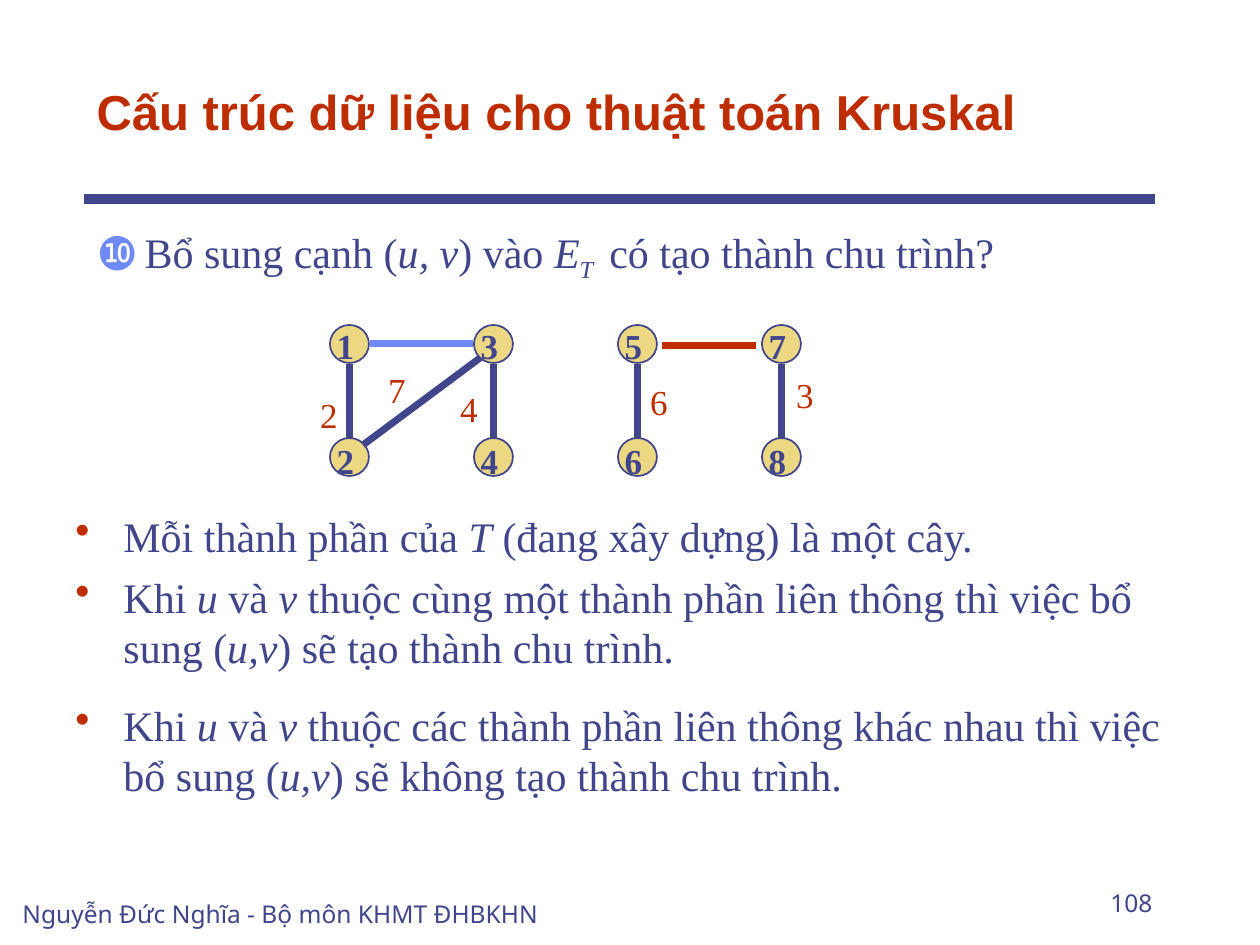
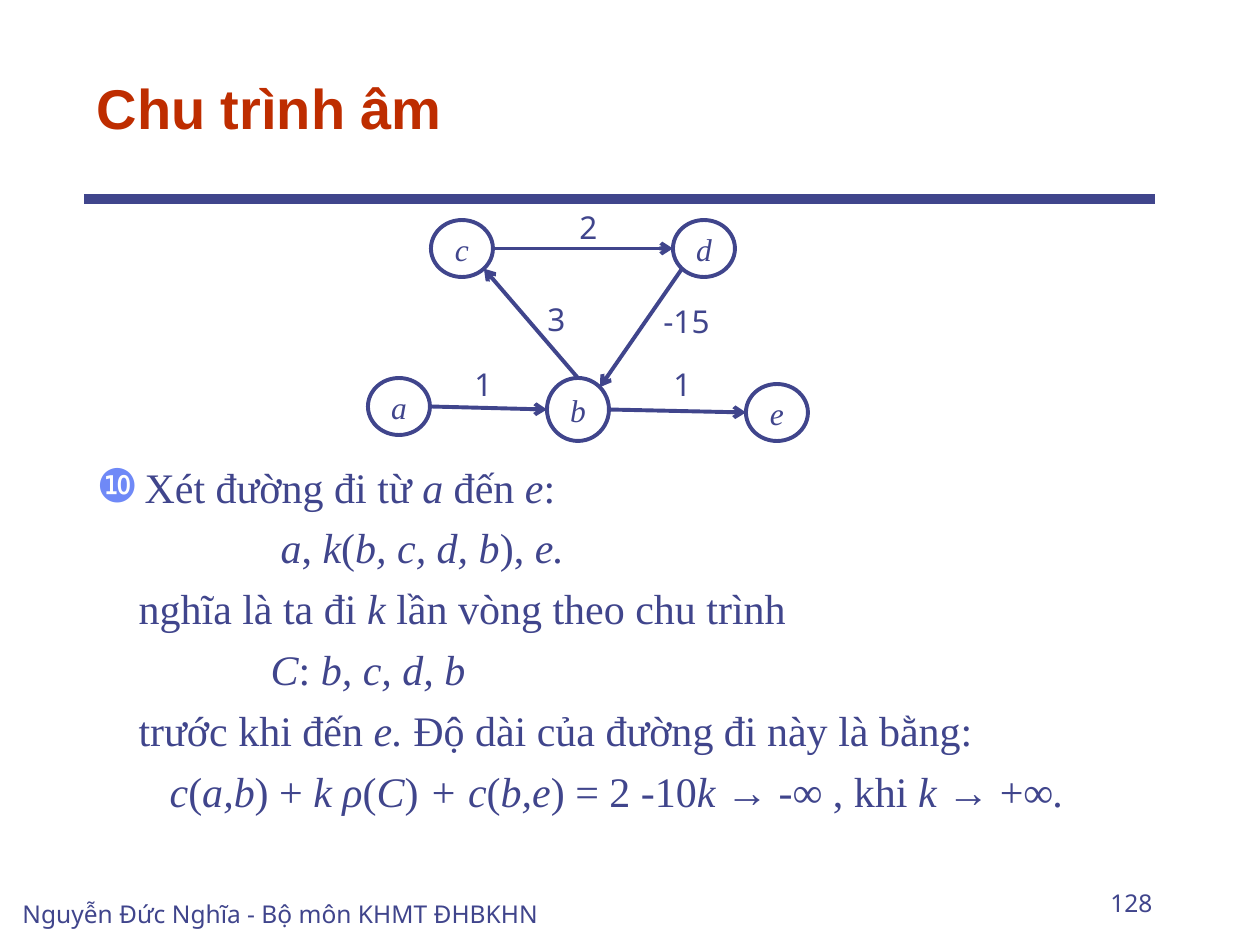
"""Build two lecture slides on Kruskal's algorithm and negative cycles."""
import math

import pptx
import pptx.dml.color
import pptx.enum.shapes
import pptx.enum.text
import pptx.oxml
import pptx.oxml.ns
import pptx.util

RGBColor = pptx.dml.color.RGBColor
ALIGN = pptx.enum.text.PP_ALIGN
ANCHOR = pptx.enum.text.MSO_ANCHOR
Pt = pptx.util.Pt

INDIGO = RGBColor(0x40, 0x45, 0x8C)
RED = RGBColor(0xBE, 0x2D, 0x00)
BLUE = RGBColor(0x6F, 0x89, 0xF7)
SAND = RGBColor(0xEC, 0xD8, 0x82)
SERIF, SANS, HEADING = "Times New Roman", "Noto Sans", "Arial"
NUMBERED = ("❿", BLUE, 110)
DOT = ("•", RED, 100)
HANG = 48

FOOTER = "Nguyễn Đức Nghĩa - Bộ môn KHMT ĐHBKHN"
BODY_BOX = (84, 220, 1103, 609)

KRUSKAL_BODY = [(HANG, NUMBERED, "Bổ sung cạnh (*u, v*) vào *E**_T * có tạo thành chu trình?")]
KRUSKAL_LISTS = [
    ((63, 504, 1113, 179), [
        (HANG, DOT, "Mỗi thành phần của *T* (đang xây dựng) là một cây."),
        (HANG, DOT, "Khi *u* và *v* thuộc cùng một thành phần liên thông thì việc bổ "
                    "sung (*u,v*) sẽ tạo thành chu trình."),
    ]),
    ((63, 693, 1113, 147), [
        (HANG, DOT, "Khi *u* và *v* thuộc các thành phần liên thông khác nhau thì việc "
                    "bổ sung (*u,v*) sẽ không tạo thành chu trình."),
    ]),
]
NODE_ROWS = [(325, 315, "1357"), (438, 431, "2468")]
NODE_LEFT, NODE_STEP, NODE_WIDTH, NODE_HEIGHT = 330, 144, 39, 38
TREE_WEIGHTS = [("2", 315, 384), ("3", 791, 364), ("4", 455, 378), ("6", 645, 372), ("7", 383, 360)]
OTHER_EDGES = [
    ((363, 445), (480, 358), INDIGO),
    ((370, 344), (473, 344), BLUE),
    ((662, 346), (756, 346), RED),
]

CYCLE_BODY = [
    (HANG, NUMBERED, "Xét đường đi từ *a* đến *e*:"),
    (184, None, "*a*, *k*(*b, c, d, b*), *e.*"),
    (42, None, "nghĩa là ta đi *k* lần vòng theo chu trình"),
    (174, None, "*C*: *b, c, d, b*"),
    (42, None, "trước khi đến *e.* Độ dài của đường đi này là bằng:"),
    (73, None, "*c*(*a,b*) +* k ρ*(*C*)* + c*(*b,e*) = 2 -10*k *→ -∞ , khi* k *→ +∞*.*"),
]
CYCLE_NODES = {
    "a": (368, 378, 62, 57),
    "c": (431, 220, 62, 57),
    "b": (547, 378, 62, 63),
    "d": (673, 220, 62, 57),
    "e": (746, 384, 62, 57),
}
RIGHT, LOWER_RIGHT, LOWER_LEFT, LEFT, TOP, UPPER_RIGHT = 0, 45, 135, 180, 270, 315
CYCLE_EDGES = [
    ("a", RIGHT, "b", LEFT),
    ("b", TOP, "c", LOWER_RIGHT),
    ("c", RIGHT, "d", LEFT),
    ("d", LOWER_LEFT, "b", UPPER_RIGHT),
    ("b", RIGHT, "e", LEFT),
]
CYCLE_WEIGHTS = [("1", 462, 359), ("3", 535, 294), ("2", 567, 202), ("-15", 651, 296), ("1", 661, 359)]


def px(length):
    return round(length * 914400 / 126)


def box_emu(box):
    return [px(length) for length in box]


def style(run, size, font, color, bold=False, italic=False):
    run.font.size, run.font.name = Pt(size), font
    run.font.bold, run.font.italic = bold, italic
    run.font.color.rgb = color


def set_bullet(paragraph, indent, bullet):
    properties = paragraph._p.get_or_add_pPr()
    properties.set("marL", str(px(indent)))
    properties.set("indent", str(px(-HANG) if bullet else 0))
    namespace = pptx.oxml.ns.nsdecls("a")
    if bullet:
        mark, color, percent = bullet
        parts = [
            f'<a:buClr {namespace}><a:srgbClr val="{color}"/></a:buClr>',
            f'<a:buSzPct {namespace} val="{percent * 1000}"/>',
            f'<a:buChar {namespace} char="{mark}"/>',
        ]
    else:
        parts = [f"<a:buNone {namespace}/>"]
    for part in parts:
        properties.append(pptx.oxml.parse_xml(part))


def write_list(frame, items):
    frame.word_wrap = True
    frame.auto_size = pptx.enum.text.MSO_AUTO_SIZE.NONE
    for number, (indent, bullet, text) in enumerate(items):
        paragraph = frame.add_paragraph() if number else frame.paragraphs[0]
        paragraph.space_before = Pt(6)
        set_bullet(paragraph, indent, bullet)
        for position, piece in enumerate(text.split("*")):
            if piece:
                run = paragraph.add_run()
                run.text = piece.lstrip("_")
                style(run, 24, SERIF, INDIGO, italic=position % 2 == 1)
                if piece.startswith("_"):
                    run.font._element.set("baseline", "-25000")


def add_label(slide, text, box, size, font, color, align=ALIGN.LEFT, anchor=ANCHOR.TOP, bold=False, wrap=True):
    label = slide.shapes.add_textbox(*box_emu(box))
    frame = label.text_frame
    frame.text = text
    frame.word_wrap = wrap
    frame.vertical_anchor = anchor
    frame.paragraphs[0].alignment = align
    style(frame.paragraphs[0].runs[0], size, font, color, bold)
    return frame


def add_digit(slide, text, box, color, bold=False):
    frame = add_label(slide, text, box, 20, SERIF, color, ALIGN.CENTER, bold=bold)
    frame.margin_left = frame.margin_right = 0
    frame.margin_top = px(9)


def add_line(slide, start, end, color, width, arrow=False):
    line = slide.shapes.add_connector(
        pptx.enum.shapes.MSO_CONNECTOR.STRAIGHT, *box_emu(start), *box_emu(end))
    line.line.color.rgb, line.line.width = color, Pt(width)
    namespace = pptx.oxml.ns.nsdecls("a")
    if arrow:
        line.line._get_or_add_ln().append(pptx.oxml.parse_xml(f'<a:tailEnd {namespace} type="arrow"/>'))
    line._element.spPr.append(pptx.oxml.parse_xml(f"<a:effectLst {namespace}/>"))


def add_node(slide, box, width, fill=None):
    node = slide.shapes.add_shape(pptx.enum.shapes.MSO_SHAPE.OVAL, *box_emu(box))
    node.shadow.inherit = False
    node.line.color.rgb, node.line.width = INDIGO, Pt(width)
    if fill:
        node.fill.solid()
        node.fill.fore_color.rgb = fill
    else:
        node.fill.background()
    return node


def rim_point(box, degrees):
    left, top, width, height = box
    angle = math.radians(degrees)
    return left + width / 2 * (1 + math.cos(angle)), top + height / 2 * (1 + math.sin(angle))


def start_slide(deck, title, title_size, body, page, body_inset=6):
    slide = deck.slides.add_slide(deck.slide_layouts[1])
    add_line(slide, (84, 199), (1155, 199), INDIGO, 6)
    heading, content = slide.shapes.title, slide.placeholders[1]
    for holder, box in ((heading, (84, 42, 1071, 105)), (content, BODY_BOX)):
        holder.left, holder.top, holder.width, holder.height = box_emu(box)
    heading.text_frame.text = title
    heading.text_frame.vertical_anchor = ANCHOR.BOTTOM
    heading.text_frame.auto_size = pptx.enum.text.MSO_AUTO_SIZE.NONE
    heading.text_frame.paragraphs[0].alignment = ALIGN.LEFT
    style(heading.text_frame.paragraphs[0].runs[0], title_size, HEADING, RED, bold=True)
    content.text_frame.margin_top = px(body_inset)
    write_list(content.text_frame, body)
    add_label(slide, page, (903, 861, 262, 63), 14, SANS, INDIGO, ALIGN.RIGHT, ANCHOR.BOTTOM)
    add_label(slide, FOOTER, (10, 872, 588, 63), 14, SANS, INDIGO, anchor=ANCHOR.BOTTOM)
    return slide


def build_kruskal(deck):
    slide = start_slide(deck, "Cấu trúc dữ liệu cho thuật toán Kruskal", 28, KRUSKAL_BODY, "108")
    for node_top, digit_top, digits in NODE_ROWS:
        for column, digit in enumerate(digits):
            left = NODE_LEFT + column * NODE_STEP
            add_node(slide, (left, node_top, NODE_WIDTH, NODE_HEIGHT), 1, SAND)
            add_digit(slide, digit, (left + 3, digit_top, 25, 55), INDIGO, bold=True)
    for column in range(4):
        middle = NODE_LEFT + column * NODE_STEP + NODE_WIDTH / 2
        add_line(slide, (middle, 364), (middle, 438), INDIGO, 4)
    for start, end, color in OTHER_EDGES:
        add_line(slide, start, end, color, 4)
    for weight, left, top in TREE_WEIGHTS:
        add_digit(slide, weight, (left, top, 28, 55), RED)
    for box, items in KRUSKAL_LISTS:
        write_list(slide.shapes.add_textbox(*box_emu(box)).text_frame, items)


def build_cycle(deck):
    slide = start_slide(deck, "Chu trình âm", 32, CYCLE_BODY, "128", body_inset=241)
    for letter, box in CYCLE_NODES.items():
        frame = add_node(slide, box, 2.25).text_frame
        frame.text = letter
        frame.word_wrap = False
        frame.vertical_anchor = ANCHOR.MIDDLE
        frame.paragraphs[0].alignment = ALIGN.CENTER
        style(frame.paragraphs[0].runs[0], 18, SERIF, INDIGO, italic=True)
    for source, leaving, target, entering in CYCLE_EDGES:
        start = rim_point(CYCLE_NODES[source], leaving)
        end = rim_point(CYCLE_NODES[target], entering)
        add_line(slide, start, end, INDIGO, 2.25, arrow=True)
    for weight, left, top in CYCLE_WEIGHTS:
        add_label(slide, weight, (left, top, 28 + 22 * (len(weight) - 1), 50), 18, SANS, INDIGO, wrap=False)


deck = pptx.Presentation()
deck.slide_width, deck.slide_height = px(1260), px(945)
build_kruskal(deck)
build_cycle(deck)
deck.save("out.pptx")
